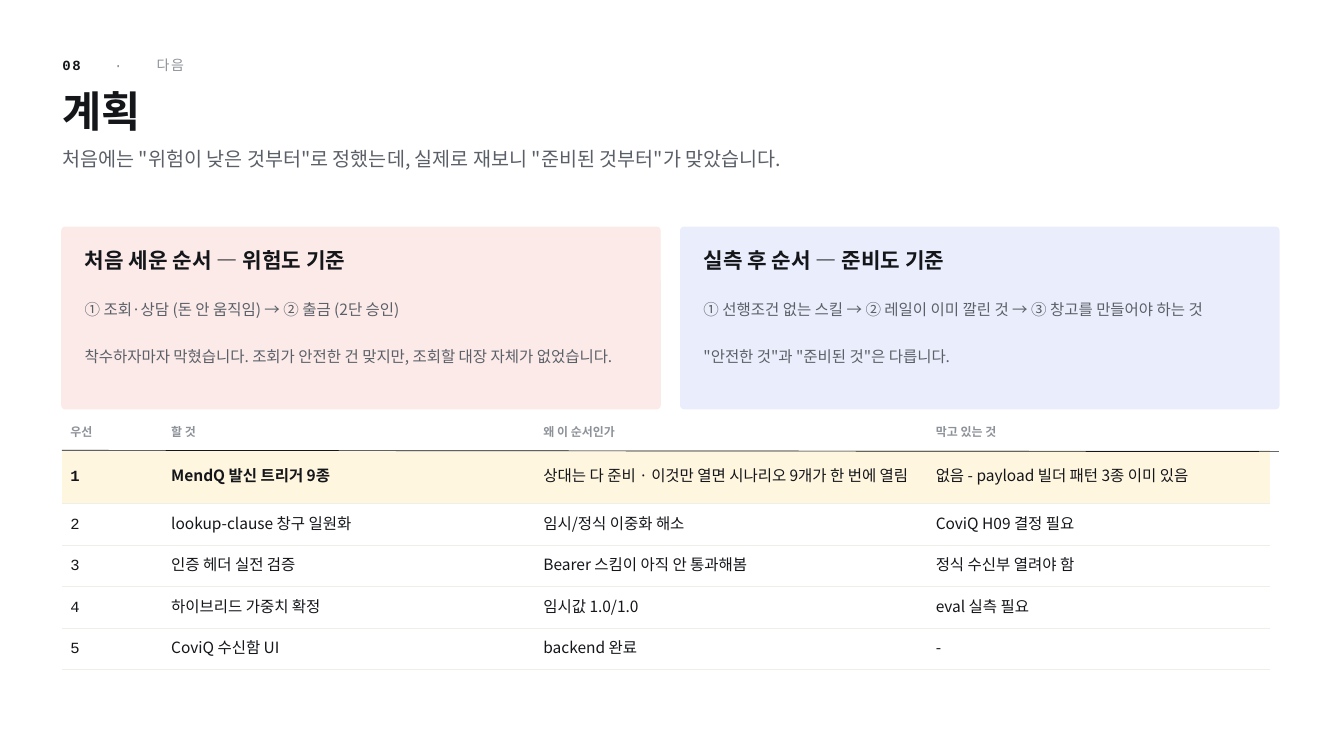
from dataclasses import dataclass

from lxml.etree import SubElement
from pptx import Presentation
from pptx.dml.color import RGBColor as RGB
from pptx.enum.shapes import MSO_CONNECTOR as CONN, MSO_SHAPE as SHAPE
from pptx.enum.text import MSO_ANCHOR as ANCHOR
from pptx.oxml.ns import qn
from pptx.util import Cm, Pt


@dataclass(frozen=True)
class Theme:
    sans: str = "Noto Sans CJK KR"
    mono: str = "Courier New"
    ink: str = "14161A"
    body: str = "5B6068"
    muted: str = "8D9299"
    rose: str = "FBEAE8"
    blue: str = "EAEEFC"
    highlight: str = "FFF6E0"
    white: str = "FFFFFF"
    rule: str = "EFEFE9"
    title: float = 45.6
    heading: float = 22.8
    lead: float = 21
    text: float = 16.6
    eyebrow: float = 15
    label: float = 12.8


T = Theme()
LEFT = 2.36

CARDS = [
    (T.rose, "처음 세운 순서 — 위험도 기준",
     ["① 조회·상담 (돈 안 움직임) → ② 출금 (2단 승인)",
      "착수하자마자 막혔습니다. 조회가 안전한 건 맞지만, 조회할 대장 자체가 없었습니다."]),
    (T.blue, "실측 후 순서 — 준비도 기준",
     ["① 선행조건 없는 스킬 → ② 레일이 이미 깔린 것 → ③ 창고를 만들어야 하는 것",
      "\"안전한 것\"과 \"준비된 것\"은 다릅니다."]),
]

COLUMNS = [3.81, 14.07, 14.83, 12.93]
PLAN = [
    ["우선", "할 것", "왜 이 순서인가", "막고 있는 것"],
    ["1", "MendQ 발신 트리거 9종", "상대는 다 준비 · 이것만 열면 시나리오 9개가 한 번에 열림",
     "없음 - payload 빌더 패턴 3종 이미 있음"],
    ["2", "lookup-clause 창구 일원화", "임시/정식 이중화 해소", "CoviQ H09 결정 필요"],
    ["3", "인증 헤더 실전 검증", "Bearer 스킴이 아직 안 통과해봄", "정식 수신부 열려야 함"],
    ["4", "하이브리드 가중치 확정", "임시값 1.0/1.0", "eval 실측 필요"],
    ["5", "CoviQ 수신함 UI", "backend 완료", "-"],
]


def style(p, size, color, leading, bold=False, font=T.sans):
    """Set the type of a whole paragraph, Korean glyphs included."""
    p.line_spacing = Pt(leading)
    f = p.font
    f.size, f.bold, f.name = Pt(size), bold, font
    f.color.rgb = RGB.from_string(color)
    props = p._p.pPr.find(qn("a:defRPr"))
    SubElement(props, qn("a:ea"), typeface=T.sans)
    return props


def add_text(s, x, y, w, h, lines, size, color, leading, bold=False, gap=0):
    tf = s.shapes.add_textbox(Cm(x), Cm(y), Cm(w), Cm(h)).text_frame
    tf.word_wrap = True
    tf.margin_left = tf.margin_top = tf.margin_right = tf.margin_bottom = 0
    for i, line in enumerate(lines):
        p = tf.add_paragraph() if i else tf.paragraphs[0]
        p.text = line
        if i:
            p.space_before = Pt(gap)
        style(p, size, color, leading, bold)


def add_eyebrow(s, x, y, w, h, number, label):
    tf = s.shapes.add_textbox(Cm(x), Cm(y), Cm(w), Cm(h)).text_frame
    tf.word_wrap = True
    tf.vertical_anchor = ANCHOR.MIDDLE
    tf.margin_left = tf.margin_top = tf.margin_right = tf.margin_bottom = 0
    p = tf.paragraphs[0]
    p.line_spacing = Pt(18)
    tabs = SubElement(p._p.get_or_add_pPr(), qn("a:tabLst"))
    for stop in (1.95, 3.56):
        SubElement(tabs, qn("a:tab"), pos=str(Cm(stop)), algn="l")
    style(p, T.eyebrow, T.muted, 18, font=T.mono).set("spc", "180")
    r = p.add_run()
    r.text = number
    r.font.bold = True
    r.font.color.rgb = RGB.from_string(T.ink)
    p.add_run().text = f"\t·\t{label}"


def add_card(s, x, y, w, h, fill, heading, lines):
    sp = s.shapes.add_shape(SHAPE.ROUNDED_RECTANGLE, Cm(x), Cm(y), Cm(w), Cm(h))
    sp.adjustments[0] = 0.02
    sp.shadow.inherit = False
    sp.fill.solid()
    sp.fill.fore_color.rgb = sp.line.color.rgb = RGB.from_string(fill)
    sp.line.width = Pt(1.5)
    inset = 0.86
    inner = w - 2 * inset
    add_text(s, x + inset, y + 0.66, inner, 1.09, [heading],
             T.heading, T.ink, 30, bold=True)
    add_text(s, x + inset, y + 2.54, inner, 2.59, lines,
             T.text, T.body, 25.5, gap=25.5)


def set_borders(cell):
    """Leave only a thin rule under the cell."""
    props = cell._tc.get_or_add_tcPr()
    for side in ("L", "R", "T"):
        SubElement(SubElement(props, qn(f"a:ln{side}"), w="0"), qn("a:noFill"))
    bottom = SubElement(props, qn("a:lnB"), w=str(Pt(0.5)))
    SubElement(SubElement(bottom, qn("a:solidFill")), qn("a:srgbClr"), val=T.rule)


def add_plan_table(s, x, y, header_h, row_h):
    height = header_h + row_h * (len(PLAN) - 1)
    table = s.shapes.add_table(len(PLAN), len(COLUMNS), Cm(x), Cm(y),
                               Cm(sum(COLUMNS)), Cm(height)).table
    table.first_row = table.horz_banding = False
    for column, width in zip(table.columns, COLUMNS):
        column.width = Cm(width)
    for i, texts in enumerate(PLAN):
        table.rows[i].height = Cm(row_h if i else header_h)
        for j, text in enumerate(texts):
            cell = table.cell(i, j)
            cell.vertical_anchor = ANCHOR.MIDDLE
            cell.margin_left = cell.margin_right = Cm(0.3)
            cell.margin_top = cell.margin_bottom = Cm(0.3)
            set_borders(cell)
            cell.fill.solid()
            cell.fill.fore_color.rgb = RGB.from_string(T.highlight if i == 1 else T.white)
            cell.text = text
            p = cell.text_frame.paragraphs[0]
            if i == 0:
                style(p, T.label, T.muted, 15.3, bold=True, font=T.mono)
            else:
                style(p, T.text, T.ink, 20, bold=i == 1 and j < 2,
                      font=T.sans if j else T.mono)


def add_rule(s, x1, y1, x2, y2):
    line = s.shapes.add_connector(CONN.STRAIGHT, Cm(x1), Cm(y1), Cm(x2), Cm(y2))
    line.line.color.rgb = RGB.from_string(T.ink)
    line.line.width = Pt(0.75)
    SubElement(line._element.spPr, qn("a:effectLst"))


def main():
    prs = Presentation()
    prs.slide_width, prs.slide_height = Cm(50.8), Cm(28.575)
    s = prs.slides.add_slide(prs.slide_layouts[6])

    # Heading
    add_eyebrow(s, LEFT, 1.83, 31.47, 1.22, "08", "다음")
    add_text(s, LEFT, 3.12, 45.95, 2.06, ["계획"], T.title, T.ink, 57, bold=True)
    add_text(s, LEFT, 5.26, 41.38, 1.14,
             ["처음에는 \"위험이 낮은 것부터\"로 정했는데, 실제로 재보니 \"준비된 것부터\"가 맞았습니다."],
             T.lead, T.body, 33)

    # Two orderings side by side
    for i, (fill, heading, lines) in enumerate(CARDS):
        add_card(s, 2.34 + i * 23.39, 8.59, 22.61, 6.86, fill, heading, lines)

    # Plan table with a dark rule under its header
    add_plan_table(s, LEFT, 15.7, 1.32, 1.57)
    add_rule(s, 2.34, 17.02, 48.34, 17.07)

    prs.save("out.pptx")


if __name__ == "__main__":
    main()
